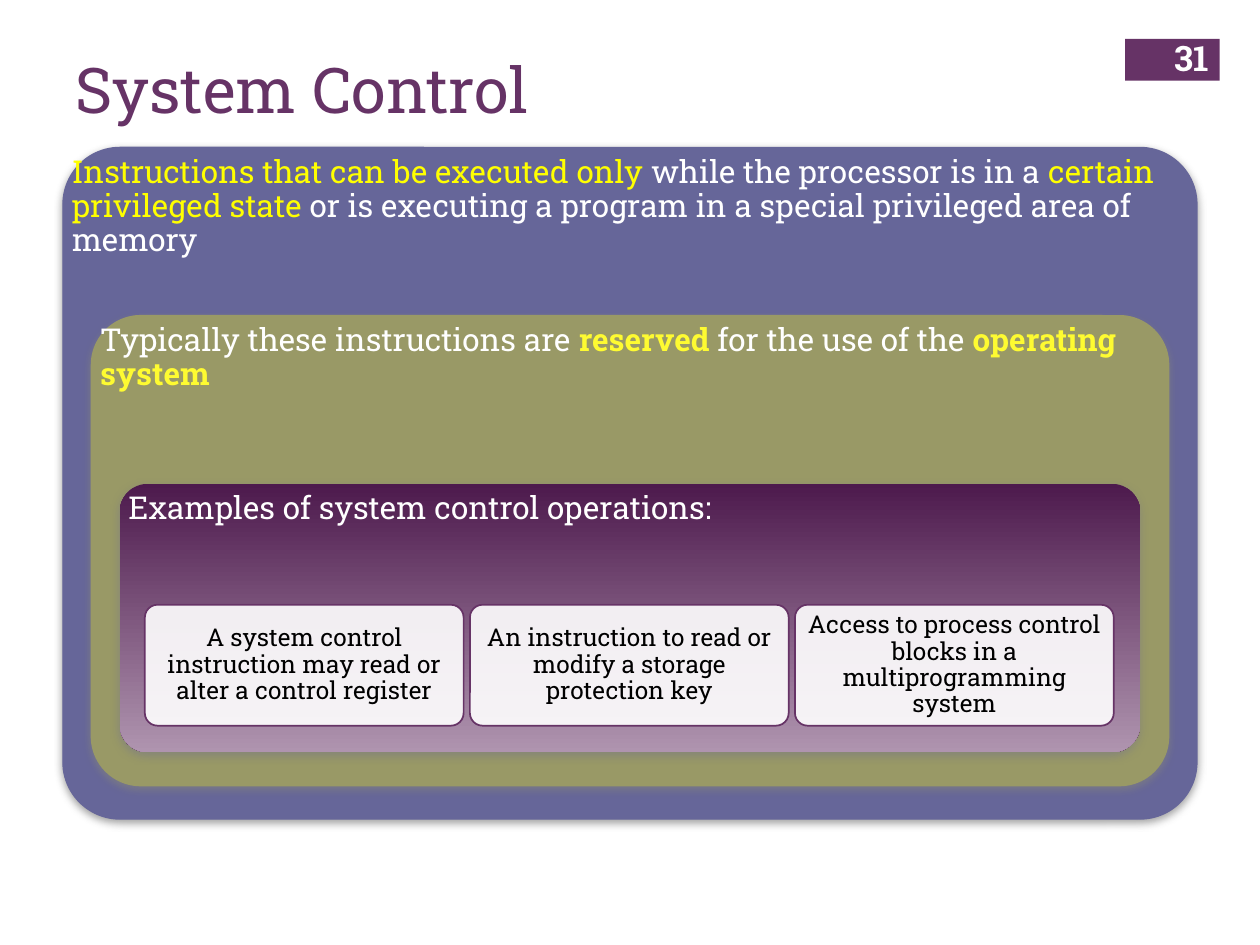
from dataclasses import dataclass

from lxml import etree
from pptx import Presentation
from pptx.dml.color import RGBColor
from pptx.enum.shapes import MSO_SHAPE
from pptx.enum.text import MSO_ANCHOR, PP_ALIGN
from pptx.oxml.ns import qn
from pptx.util import Inches, Pt

RECT, ROUNDED = MSO_SHAPE.RECTANGLE, MSO_SHAPE.ROUNDED_RECTANGLE
TOP, MIDDLE = MSO_ANCHOR.TOP, MSO_ANCHOR.MIDDLE
LEFT, CENTER, RIGHT = PP_ALIGN.LEFT, PP_ALIGN.CENTER, PP_ALIGN.RIGHT


@dataclass(frozen=True)
class Theme:
    font: str = "Roboto Slab"
    purple: str = "663366"
    blue: str = "666699"
    olive: str = "999966"
    dark: str = "4D1A4D"
    light: str = "AF94AF"
    yellow: str = "FFFF00"
    gold: str = "FEFB31"
    white: str = "FFFFFF"
    black: str = "000000"
    shadow: str = "808080"
    title: int = 36
    number: int = 20
    body: int = 18
    card: int = 14


@dataclass(frozen=True)
class Box:
    """A place on the slide, in percent of its width and height."""
    x: float
    y: float
    w: float
    h: float


@dataclass(frozen=True)
class Run:
    text: str
    color: str
    bold: bool = False


@dataclass(frozen=True)
class Panel:
    fills: tuple[str, ...]
    radius: float
    runs: tuple[Run, ...]


T = Theme()
PANELS = (
    Panel((T.blue,), 0.085, (
        Run("Instructions that can be executed only", T.yellow),
        Run(" while the processor is in a ", T.white),
        Run("certain privileged state", T.yellow),
        Run(" or is executing a program in a special privileged area of memory", T.white))),
    Panel((T.olive,), 0.105, (
        Run("Typically these instructions are ", T.white),
        Run("reserved", T.gold, True),
        Run(" for the use of the ", T.white),
        Run("operating system", T.gold, True))),
    Panel((T.dark, T.light), 0.105, (
        Run("Examples of system control operations:", T.white),)),
)
CARDS = (
    "A system control instruction may read or alter a control register",
    "An instruction to read or modify a storage protection key",
    "Access to process control blocks in a multiprogramming system",
)

prs = Presentation()
prs.slide_width, prs.slide_height = Inches(10), Inches(7.5)
s = prs.slides.add_slide(prs.slide_layouts[5])


def place(box: Box) -> tuple[int, int, int, int]:
    w, h = prs.slide_width / 100, prs.slide_height / 100
    return int(box.x * w), int(box.y * h), int(box.w * w), int(box.h * h)


def write(sp, runs: tuple[Run, ...], size: int, inset: float = 0.07,
          anchor=TOP, align=LEFT, spacing: float = 0.9) -> None:
    tf = sp.text_frame
    tf.word_wrap = True
    tf.vertical_anchor = anchor
    tf.margin_left = tf.margin_right = Inches(inset)
    tf.margin_top = tf.margin_bottom = Inches(min(inset, 0.07))
    p = tf.paragraphs[0]
    p.alignment, p.line_spacing = align, spacing
    for run in runs:
        r = p.add_run()
        r.text = run.text
        r.font.name, r.font.size, r.font.bold = T.font, Pt(size), run.bold
        r.font.color.rgb = RGBColor.from_string(run.color)


def add_text(box: Box, runs: tuple[Run, ...], size: int, **layout) -> None:
    write(s.shapes.add_textbox(*place(box)), runs, size, **layout)


def add_block(box: Box, fills: tuple[str, ...], kind=ROUNDED, radius: float = 0.105,
              line: str = "", line_width: float = 0.75):
    sp = s.shapes.add_shape(kind, *place(box))
    sp.shadow.inherit = False
    if kind == ROUNDED:
        sp.adjustments[0] = radius
    if len(fills) > 1:
        sp.fill.gradient()
        sp.fill.gradient_angle = 270
        for i, (stop, color) in enumerate(zip(sp.fill.gradient_stops, fills)):
            stop.position = i
            stop.color.rgb = RGBColor.from_string(color)
    else:
        sp.fill.solid()
        sp.fill.fore_color.rgb = RGBColor.from_string(fills[0])
    if line:
        sp.line.color.rgb = RGBColor.from_string(line)
        sp.line.width = Pt(line_width)
    else:
        sp.line.fill.background()
    return sp


def set_alpha(color, percent: int) -> None:
    etree.SubElement(color, qn("a:alpha")).set("val", str(percent * 1000))


def add_shadow(sp) -> None:
    effects = sp._element.spPr.find(qn("a:effectLst"))
    shadow = etree.SubElement(effects, qn("a:outerShdw"), blurRad=str(Pt(5)),
                              dist=str(Pt(2)), dir="5400000", rotWithShape="0")
    color = etree.SubElement(shadow, qn("a:srgbClr"), val=T.shadow)
    set_alpha(color, 75)


def add_panel(level: int, panel: Panel) -> None:
    box = Box(5 + 2.25 * level, 15.6 + 17.8 * level,
              90 - 4.5 * level, 71.07 - 21.33 * level)
    line = panel.fills[0] if len(panel.fills) == 1 else ""
    add_shadow(add_block(box, panel.fills, radius=panel.radius, line=line))
    add_text(box, panel.runs, T.body)


def add_card(column: int, text: str) -> None:
    box = Box(11.5 + 25.8 * column, 64, 25.3, 12.8)
    sp = add_block(box, (T.white,), line=T.purple, line_width=1)
    set_alpha(sp._element.spPr.find(qn("a:solidFill"))[0], 90)
    add_text(box, (Run(text, T.black),), T.card, inset=0.06, anchor=MIDDLE, align=CENTER)


# Page number badge
add_block(Box(89.3, 4.13, 7.5, 4.4), (T.purple,), kind=RECT)
add_text(Box(90.8, 3.47, 6.1, 5.33), (Run("31", T.white, True),), T.number,
         inset=0.1, anchor=MIDDLE, align=RIGHT, spacing=1)

# Title
title = s.shapes.title
title.left, title.top, title.width, title.height = place(Box(5, 4.4, 82.6, 16.27))
write(title, (Run("System Control", T.purple),), T.title, inset=0.1, spacing=1)

# Nested panels, from the outside in
for level, panel in enumerate(PANELS):
    add_panel(level, panel)

# Example cards
for column, text in enumerate(CARDS):
    add_card(column, text)

prs.save("out.pptx")
